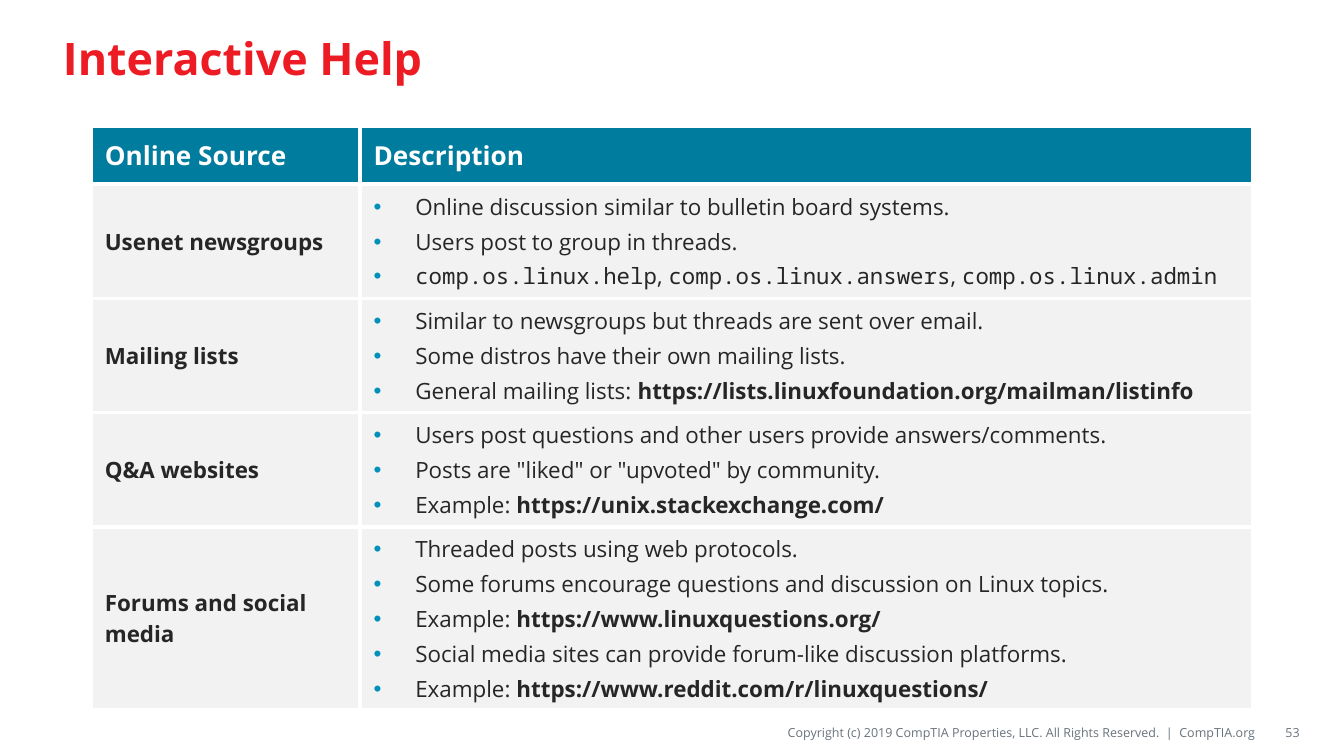
"""Build the Interactive Help slide with its table of online sources."""
from lxml.etree import SubElement
from pptx import Presentation
from pptx.dml.color import RGBColor
from pptx.enum.text import MSO_ANCHOR, PP_ALIGN
from pptx.oxml.ns import qn
from pptx.util import Inches, Pt

SANS, MONO = "Open Sans", "Noto Sans Mono"
SOURCES = [
    ("Usenet newsgroups", 0.85, [
        [("Online discussion similar to bulletin board systems.", "")],
        [("Users post to group in threads.", "")],
        [("comp.os.linux.help", "mono"), (", ", ""), ("comp.os.linux.answers", "mono"),
         (", ", ""), ("comp.os.linux.admin", "mono")]]),
    ("Mailing lists", 0.85, [
        [("Similar to newsgroups but threads are sent over email.", "")],
        [("Some distros have their own mailing lists.", "")],
        [("General mailing lists: ", ""),
         ("https://lists.linuxfoundation.org/mailman/listinfo", "bold")]]),
    ("Q&A websites", 0.85, [
        [("Users post questions and other users provide answers/comments.", "")],
        [('Posts are "liked" or "upvoted" by community.', "")],
        [("Example: ", ""), ("https://unix.stackexchange.com/", "bold")]]),
    ("Forums and social media", 1.36, [
        [("Threaded posts using web protocols.", "")],
        [("Some forums encourage questions and discussion on Linux topics.", "")],
        [("Example: ", ""), ("https://www.linuxquestions.org/", "bold")],
        [("Social media sites can provide forum-like discussion platforms.", "")],
        [("Example: ", ""), ("https://www.reddit.com/r/linuxquestions/", "bold")]]),
]


def set_font(paragraph, size, color, bold=False):
    font = paragraph.font
    font.name, font.size, font.bold = SANS, Pt(size), bold
    font.color.rgb = RGBColor.from_string(color)


def style_cell(cell, color):
    cell.vertical_anchor = MSO_ANCHOR.MIDDLE
    properties = cell._tc.get_or_add_tcPr()
    for side in ("lnL", "lnR", "lnT", "lnB"):
        line = SubElement(properties, qn(f"a:{side}"), w=str(Pt(2.25)))
        SubElement(SubElement(line, qn("a:solidFill")), qn("a:srgbClr"), val="FFFFFF")
    cell.fill.solid()
    cell.fill.fore_color.rgb = RGBColor.from_string(color)


deck = Presentation()
deck.slide_width, deck.slide_height = Inches(10), Inches(10 * 9 / 16)
page = deck.slides.add_slide(deck.slide_layouts[6])

for text, place, size, color, bold, align, inset in [
    ("Interactive Help", (0.37, 0.08, 9.25, 0.69), 24, "ED1C24", True, PP_ALIGN.LEFT, (0.1, 0.1)),
    ("Copyright (c) 2019 CompTIA Properties, LLC. All Rights Reserved.  |  CompTIA.org",
     (3.88, 5.34, 5.47, 0.22), 6.75, "69727B", False, PP_ALIGN.RIGHT, (0, 0)),
    ("53", (9.38, 5.34, 0.29, 0.22), 6.75, "69727B", False, PP_ALIGN.RIGHT, (0.1, 0)),
]:
    frame = page.shapes.add_textbox(*map(Inches, place)).text_frame
    frame.word_wrap = True
    frame.vertical_anchor = MSO_ANCHOR.MIDDLE
    frame.margin_left, frame.margin_right = map(Inches, inset)
    paragraph = frame.paragraphs[0]
    paragraph.text = text
    paragraph.alignment = align
    set_font(paragraph, size, color, bold)

table = page.shapes.add_table(len(SOURCES) + 1, 2, Inches(0.68), Inches(0.94),
                              Inches(8.64), Inches(4.34)).table
table.horz_banding = False
table.columns[0].width, table.columns[1].width = Inches(2), Inches(6.64)
table.rows[0].height = Inches(0.43)
for cell, heading in zip(table.rows[0].cells, ("Online Source", "Description")):
    style_cell(cell, "007C9E")
    cell.text = heading
    set_font(cell.text_frame.paragraphs[0], 14, "FFFFFF", True)

for row, (source, height, points) in zip(list(table.rows)[1:], SOURCES):
    row.height = Inches(height)
    name_cell, point_cell = row.cells
    style_cell(name_cell, "F2F2F2")
    style_cell(point_cell, "F2F2F2")
    name_cell.text = source
    set_font(name_cell.text_frame.paragraphs[0], 12, "262626", True)
    for index, spans in enumerate(points):
        frame = point_cell.text_frame
        paragraph = frame.add_paragraph() if index else frame.paragraphs[0]
        properties = paragraph._p.get_or_add_pPr()
        properties.set("marL", str(Inches(0.31)))
        properties.set("indent", str(-Inches(0.31)))
        SubElement(SubElement(properties, qn("a:buClr")), qn("a:srgbClr"), val="0090B9")
        SubElement(properties, qn("a:buFont"), typeface="Arial")
        SubElement(properties, qn("a:buChar"), char="•")
        if index:
            paragraph.space_before = Pt(2.4)
        set_font(paragraph, 12, "262626")
        for text, kind in spans:
            span = paragraph.add_run()
            span.text = text
            if kind == "mono":
                span.font.name = MONO
            elif kind == "bold":
                span.font.bold = True

deck.save("out.pptx")
